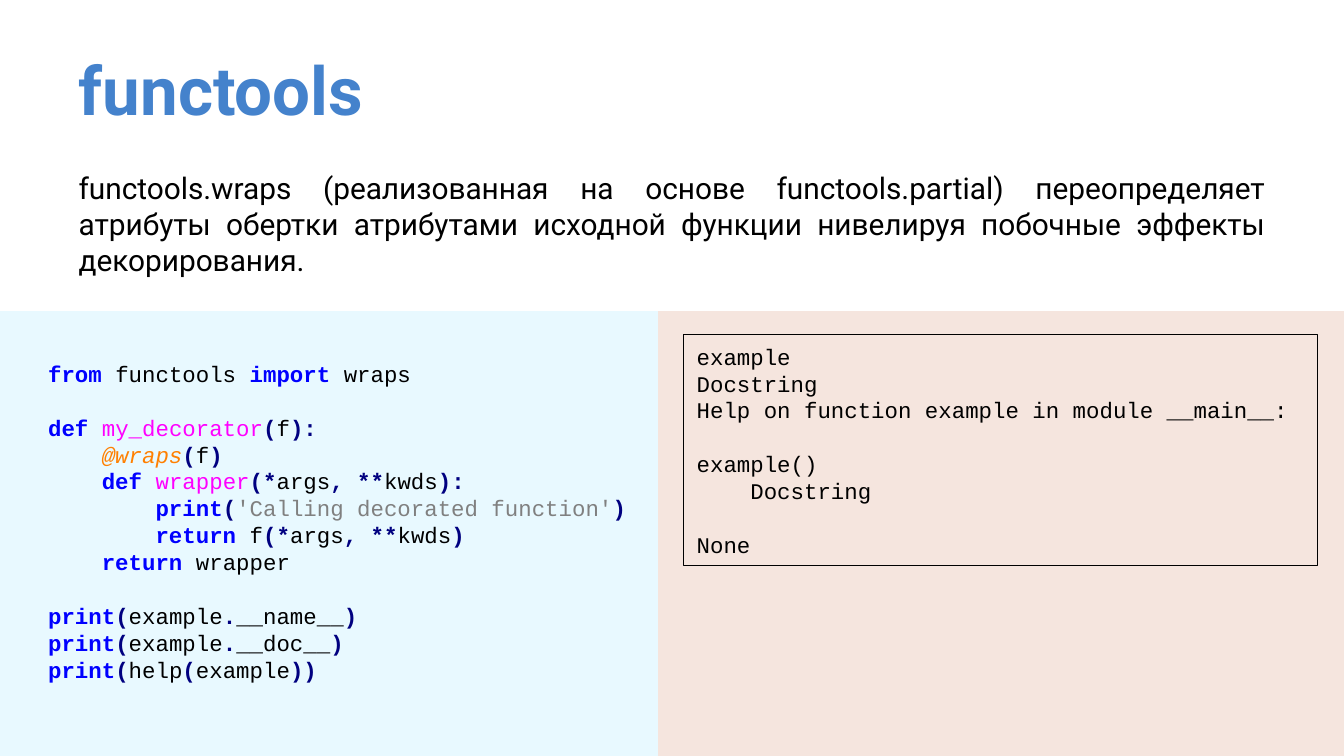
from dataclasses import dataclass

from pptx import Presentation
from pptx.dml.color import RGBColor
from pptx.enum.shapes import MSO_SHAPE
from pptx.enum.text import MSO_ANCHOR, PP_ALIGN
from pptx.util import Inches, Pt

RECT = MSO_SHAPE.RECTANGLE
TOP, MIDDLE = MSO_ANCHOR.TOP, MSO_ANCHOR.MIDDLE
LEFT, JUSTIFY = PP_ALIGN.LEFT, PP_ALIGN.JUSTIFY
COLS, ROWS = 100, 56.25
UNIT = 0.1


@dataclass(frozen=True)
class Theme:
    sans: str = "Roboto"
    mono: str = "Courier New"
    head: float = 36
    body: float = 16
    code: float = 12
    gap: float = 14.4
    rule: float = 0.75
    title: str = "4482CC"
    ink: str = "000000"
    cool: str = "E8F9FF"
    warm: str = "F5E5DE"


THEME = Theme()

STYLES = {
    "key": ("0000FF", True, False),
    "name": ("FF00FF", False, False),
    "sign": ("000080", True, False),
    "wrap": ("FF8000", False, True),
    "text": ("808080", False, False),
    "word": (THEME.ink, False, False),
}

ARGS = [("sign", "(*"), ("word", "args"), ("sign", ", **"), ("word", "kwds")]


def show(*parts):
    return [("key", "print"), ("sign", "("), *parts, ("sign", ")")]


def field(name):
    return show(("word", "example"), ("sign", "."), ("word", name))


CODE = [
    [("key", "from"), ("word", " functools "), ("key", "import"), ("word", " wraps")],
    [],
    [("key", "def "), ("name", "my_decorator"), ("sign", "("), ("word", "f"), ("sign", "):")],
    [("wrap", "    @wraps"), ("sign", "("), ("word", "f"), ("sign", ")")],
    [("key", "    def "), ("name", "wrapper"), *ARGS, ("sign", "):")],
    [("key", "        print"), ("sign", "("), ("text", "'Calling decorated function'"), ("sign", ")")],
    [("key", "        return"), ("word", " f"), *ARGS, ("sign", ")")],
    [("key", "    return"), ("word", " wrapper")],
    [],
    field("__name__"),
    field("__doc__"),
    show(("word", "help"), ("sign", "("), ("word", "example"), ("sign", ")")),
]

RESULT = [
    [("word", line)] if line else []
    for line in (
        "example",
        "Docstring",
        "Help on function example in module __main__:",
        "",
        "example()",
        "    Docstring",
        "",
        "None",
    )
]

INTRO = (
    "functools.wraps (реализованная на основе functools.partial) переопределяет "
    "атрибуты обертки атрибутами исходной функции нивелируя побочные эффекты "
    "декорирования."
)


def place(box):
    return [Inches(side * UNIT) for side in box]


def inset(box, left, top, wide, high):
    return box[0] + left, box[1] + top, wide, high


def write(par, text, font, size, tint, bold=False, slant=False):
    run = par.add_run()
    run.text = text
    run.font.name = font
    run.font.size = Pt(size)
    run.font.color.rgb = RGBColor.from_string(tint)
    run.font.bold = bold
    run.font.italic = slant


def label(slide, box, text, size, tint, bold=False, align=LEFT, pad=0.05):
    frame = slide.shapes.add_textbox(*place(box)).text_frame
    frame.word_wrap = True
    frame.vertical_anchor = TOP
    frame.margin_top = frame.margin_bottom = Inches(pad)
    par = frame.paragraphs[0]
    par.alignment = align
    write(par, text, THEME.sans, size, tint, bold)


def block(slide, box, fill=None, line=None):
    shape = slide.shapes.add_shape(RECT, *place(box))
    shape.shadow.inherit = False
    if fill:
        shape.fill.solid()
        shape.fill.fore_color.rgb = RGBColor.from_string(fill)
    else:
        shape.fill.background()
    if line:
        shape.line.color.rgb = RGBColor.from_string(line)
        shape.line.width = Pt(THEME.rule)
    else:
        shape.line.fill.background()
    return shape


def list_code(frame, lines, anchor):
    frame.word_wrap = True
    frame.vertical_anchor = anchor
    par, skip = frame.paragraphs[0], False
    for row, line in enumerate(lines):
        if not line:
            skip = True
            continue
        if row:
            par = frame.add_paragraph()
        par.alignment = LEFT
        if skip:
            par.space_before = Pt(THEME.gap)
            skip = False
        for kind, text in line:
            write(par, text, THEME.mono, THEME.code, *STYLES[kind])


def draw_head(slide, box):
    wide = box[2]
    label(slide, inset(box, 0, 0, 97.5, 7.6), "functools",
          THEME.head, THEME.title, bold=True, pad=0.1)
    label(slide, inset(box, 0, 9.55, wide, 9.1), INTRO,
          THEME.body, THEME.ink, align=JUSTIFY)


def draw_code(slide, box):
    block(slide, box, fill=THEME.cool)
    area = slide.shapes.add_textbox(*place(inset(box, 2.6, 3.15, 45.6, 25.2)))
    list_code(area.text_frame, CODE, TOP)


def draw_result(slide, box):
    block(slide, box, fill=THEME.warm)
    frame = block(slide, inset(box, 1.9, 1.75, 47.2, 17.2), line=THEME.ink)
    list_code(frame.text_frame, RESULT, MIDDLE)


def main():
    deck = Presentation()
    deck.slide_width = Inches(COLS * UNIT)
    deck.slide_height = Inches(ROWS * UNIT)
    slide = deck.slides.add_slide(deck.slide_layouts[6])
    split, floor = 48.95, 23.15
    high = ROWS - floor
    draw_head(slide, (4.87, 2.6, 90.3, 18.6))
    draw_result(slide, (split, floor, COLS - split, high))
    draw_code(slide, (0, floor, split, high))
    deck.save("out.pptx")


if __name__ == "__main__":
    main()
